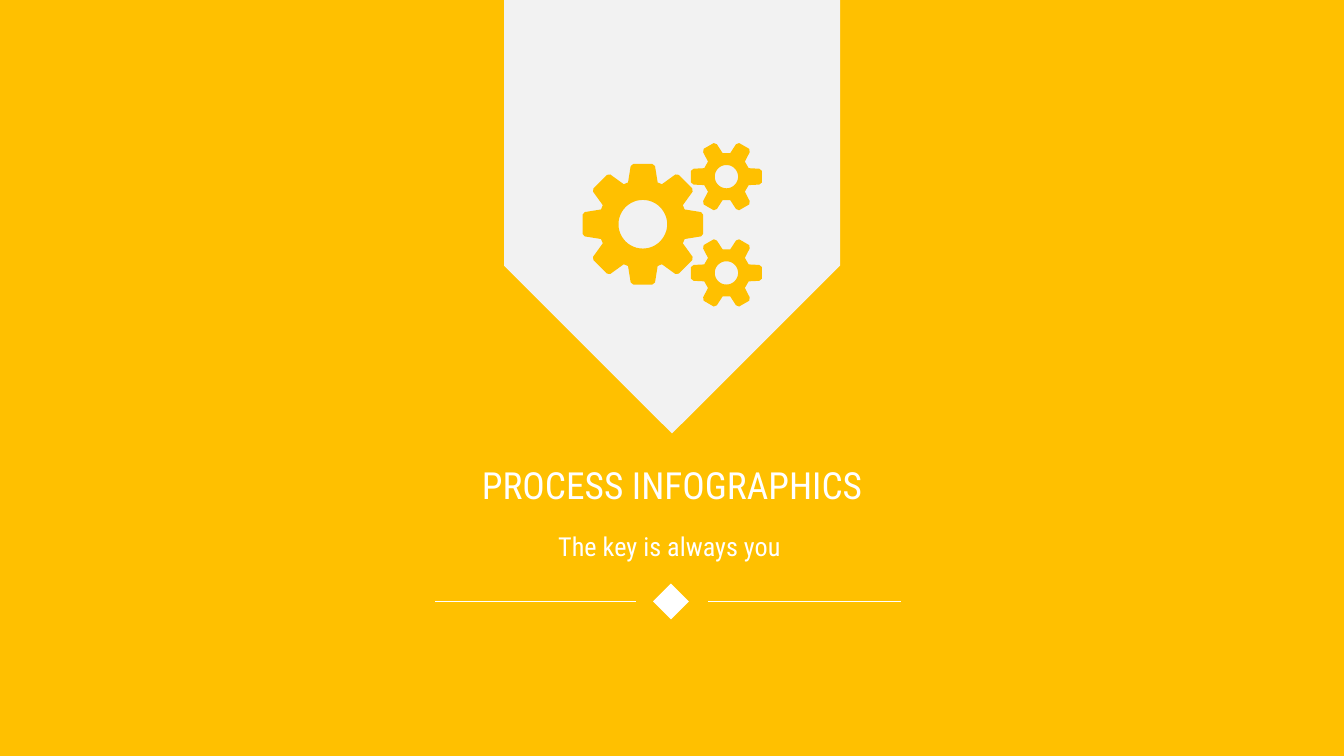
from math import cos, sin, radians

from pptx import Presentation
from pptx.dml.color import RGBColor
from pptx.enum.shapes import MSO_CONNECTOR as Link, MSO_SHAPE as Shape
from pptx.enum.text import PP_ALIGN as Align
from pptx.oxml.ns import qn
from pptx.util import Cm, Pt
from lxml.etree import SubElement

WIDE, HIGH = 25.4, 14.29
GOLD, PALE, WHITE = "FFC000", "F2F2F2", "FFFFFF"
FONT = "Roboto Condensed"

# Half a tooth, from root to tip: (distance from centre, half width)
BIG = [(0.79, 0.28), (1.1, 0.23), (1.14, 0.18)]
SMALL = [(0.42, 0.16), (0.62, 0.15), (0.67, 0.11)]
# Centre x, centre y, number of teeth, tooth, hole radius
GEARS = [
    (12.15, 4.24, 8, BIG, 0.46),
    (13.73, 3.34, 6, SMALL, 0.22),
    (13.73, 5.16, 6, SMALL, 0.22),
]


def color(code):
    return RGBColor.from_string(code)


def paint(shape, fill):
    shape.shadow.inherit = False
    shape.fill.solid()
    shape.fill.fore_color.rgb = color(fill)
    shape.line.fill.background()


def add_block(slide, kind, x, y, w, h, fill, turn=0):
    block = slide.shapes.add_shape(kind, Cm(x), Cm(y), Cm(w), Cm(h))
    block.rotation = turn
    paint(block, fill)


def add_text(slide, x, y, w, h, text, size):
    frame = slide.shapes.add_textbox(Cm(x), Cm(y), Cm(w), Cm(h)).text_frame
    frame.word_wrap = True
    para = frame.paragraphs[0]
    para.alignment = Align.CENTER
    run = para.add_run()
    run.text = text
    run.font.name = FONT
    run.font.size = Pt(size)
    run.font.color.rgb = color(WHITE)


def add_rule(slide, left, right, y):
    rule = slide.shapes.add_connector(
        Link.STRAIGHT, Cm(left), Cm(y), Cm(right), Cm(y))
    rule.line.color.rgb = color(WHITE)
    rule.line.width = Pt(0.75)
    SubElement(rule._element.spPr, qn("a:effectLst"))


def rim(x, y, count, tooth):
    """Outline of a gear, tooth by tooth."""
    side = [(r, -half) for r, half in tooth]
    side += [(r, half) for r, half in reversed(tooth)]
    dots = []
    for i in range(count):
        turn = radians(360 / count * i)
        c, s = cos(turn), sin(turn)
        dots += [(Cm(x + r * c - t * s), Cm(y + r * s + t * c))
                 for r, t in side]
    return dots


def ring(x, y, radius, steps=48):
    turns = [radians(360 / steps * i) for i in range(steps)]
    return [(Cm(x + radius * cos(a)), Cm(y + radius * sin(a))) for a in turns]


def add_gears(slide, gears, fill):
    """All gears and their holes as one outline."""
    loops = []
    for x, y, count, tooth, hole in gears:
        loops += [rim(x, y, count, tooth), ring(x, y, hole)[::-1]]
    pen = slide.shapes.build_freeform(*loops[0][0])
    for i, loop in enumerate(loops):
        if i:
            pen.move_to(*loop[0])
        pen.add_line_segments(loop[1:], close=True)
    paint(pen.convert_to_shape(), fill)


def main():
    deck = Presentation()
    deck.slide_width, deck.slide_height = Cm(WIDE), Cm(HIGH)
    slide = deck.slides.add_slide(deck.slide_layouts[6])

    add_block(slide, Shape.RECTANGLE, 0, 0, WIDE, HIGH, GOLD)
    add_text(slide, 5.58, 8.61, 14.25, 1.11, "PROCESS INFOGRAPHICS", 20)
    add_text(slide, 7.67, 9.9, 10.08, 0.86, "The key is always you ", 14)
    add_block(slide, Shape.RECTANGLE, 12.44, 11.13, 0.48, 0.48, WHITE, 45)
    for left, right in [(8.23, 12.02), (13.38, 17.02)]:
        add_rule(slide, left, right, 11.37)
    add_block(slide, Shape.PENTAGON, 8.6, 0.92, 8.2, 6.35, PALE, 90)
    add_gears(slide, GEARS, GOLD)

    deck.save("out.pptx")


if __name__ == "__main__":
    main()
